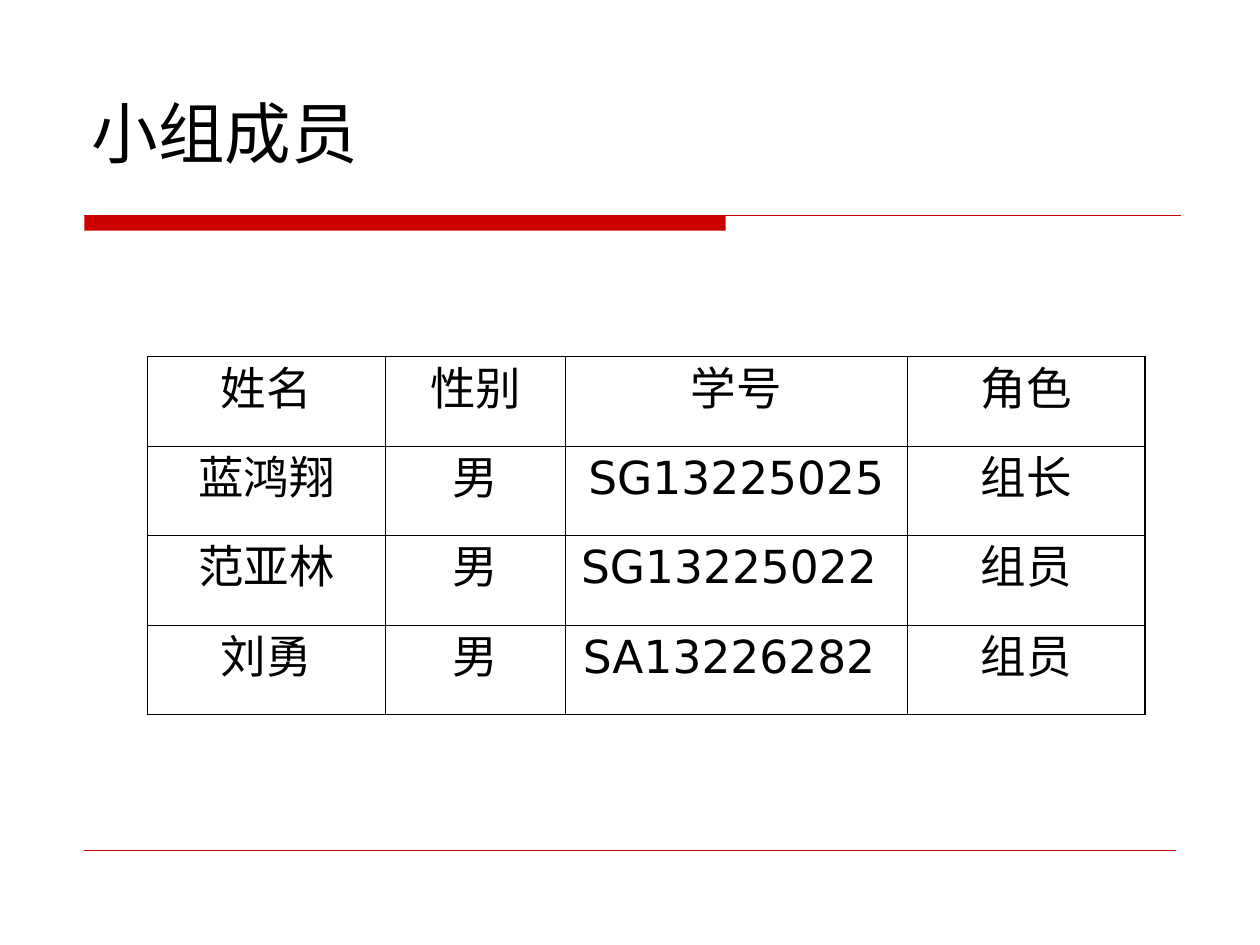
"""Build the team members slide with its ruled title and roster table."""
from dataclasses import dataclass

from lxml import etree
from pptx import Presentation
from pptx.dml.color import RGBColor
from pptx.enum.shapes import MSO_CONNECTOR, MSO_SHAPE
from pptx.enum.text import MSO_ANCHOR, PP_ALIGN
from pptx.oxml.ns import qn
from pptx.slide import Slide
from pptx.table import _Cell
from pptx.text.text import TextFrame
from pptx.util import Inches, Pt

STRAIGHT = MSO_CONNECTOR.STRAIGHT
RECTANGLE = MSO_SHAPE.RECTANGLE
TOP, BOTTOM = MSO_ANCHOR.TOP, MSO_ANCHOR.BOTTOM
LEFT, CENTER = PP_ALIGN.LEFT, PP_ALIGN.CENTER


@dataclass(frozen=True)
class Theme:
    font: str = "DejaVu Sans"
    ink: str = "000000"
    accent: str = "CC0000"
    title_size: float = 38
    table_size: float = 26
    inner_border: float = 0.45
    outer_border: float = 1.08


@dataclass(frozen=True)
class Rule:
    start: float
    end: float
    y: float
    weight: float


@dataclass(frozen=True)
class Member:
    name: str
    gender: str
    student_id: str
    role: str


THEME = Theme()
RULES = (Rule(0.67, 9.37, 1.71, 0.75), Rule(0.67, 9.33, 6.75, 0.25))
ROSTER = (
    Member("姓名", "性别", "学号", "角色"),
    Member("蓝鸿翔", "男", "SG13225025", "组长"),
    Member("范亚林", "男", "SG13225022 ", "组员"),
    Member("刘勇", "男", "SA13226282 ", "组员"),
)
COLUMN_WIDTHS = (1.89, 1.43, 2.71, 1.89)
ROW_HEIGHT = 0.71


def write_text(frame: TextFrame, text: str, *, size: float,
               align: PP_ALIGN = LEFT, anchor: MSO_ANCHOR = TOP) -> None:
    frame.word_wrap = True
    frame.vertical_anchor = anchor
    paragraph = frame.paragraphs[0]
    paragraph.alignment = align
    run = paragraph.add_run()
    run.text = text
    run.font.name = THEME.font
    run.font.size = Pt(size)
    run.font.color.rgb = RGBColor.from_string(THEME.ink)
    east_asian = etree.SubElement(run.font._element, qn("a:ea"))
    east_asian.set("typeface", THEME.font)


def draw_title(slide: Slide) -> None:
    title = slide.shapes.add_textbox(Inches(0.63), Inches(0.33), Inches(8.75), Inches(1.08))
    write_text(title.text_frame, "小组成员", size=THEME.title_size, anchor=BOTTOM)


def draw_title_bar(slide: Slide) -> None:
    bar = slide.shapes.add_shape(RECTANGLE, Inches(0.67), Inches(1.71), Inches(5.09), Inches(0.12))
    bar.shadow.inherit = False
    bar.fill.solid()
    bar.fill.fore_color.rgb = RGBColor.from_string(THEME.accent)
    bar.line.fill.background()


def draw_rule(slide: Slide, rule: Rule) -> None:
    line = slide.shapes.add_connector(
        STRAIGHT, Inches(rule.start), Inches(rule.y), Inches(rule.end), Inches(rule.y))
    line.line.color.rgb = RGBColor.from_string(THEME.accent)
    line.line.width = Pt(rule.weight)
    etree.SubElement(line._element.spPr, qn("a:effectLst"))


def set_borders(cell: _Cell, outer_sides: dict[str, bool]) -> None:
    properties = cell._tc.get_or_add_tcPr()
    for side, is_outer in outer_sides.items():
        weight = THEME.outer_border if is_outer else THEME.inner_border
        border = etree.SubElement(properties, qn(f"a:ln{side}"), w=str(int(Pt(weight))))
        fill = etree.SubElement(border, qn("a:solidFill"))
        etree.SubElement(fill, qn("a:srgbClr"), val=THEME.ink)


def draw_roster(slide: Slide) -> None:
    table = slide.shapes.add_table(
        len(ROSTER), len(COLUMN_WIDTHS), Inches(1.17), Inches(2.83),
        Inches(sum(COLUMN_WIDTHS)), Inches(ROW_HEIGHT * len(ROSTER))).table
    table.first_row = False
    table.horz_banding = False
    for column, width in zip(table.columns, COLUMN_WIDTHS):
        column.width = Inches(width)
    last_column = len(COLUMN_WIDTHS) - 1
    for row_index, member in enumerate(ROSTER):
        table.rows[row_index].height = Inches(ROW_HEIGHT)
        values = (member.name, member.gender, member.student_id, member.role)
        for column_index, value in enumerate(values):
            cell = table.cell(row_index, column_index)
            write_text(cell.text_frame, value, size=THEME.table_size, align=CENTER)
            set_borders(cell, {"L": column_index == 0, "R": column_index == last_column,
                               "T": row_index == 0, "B": False})
            cell.fill.background()


def main() -> None:
    presentation = Presentation()
    presentation.slide_width = Inches(10)
    presentation.slide_height = Inches(7.5)
    slide = presentation.slides.add_slide(presentation.slide_layouts[6])
    draw_title_bar(slide)
    for rule in RULES:
        draw_rule(slide, rule)
    draw_title(slide)
    draw_roster(slide)
    presentation.save("out.pptx")


if __name__ == "__main__":
    main()
